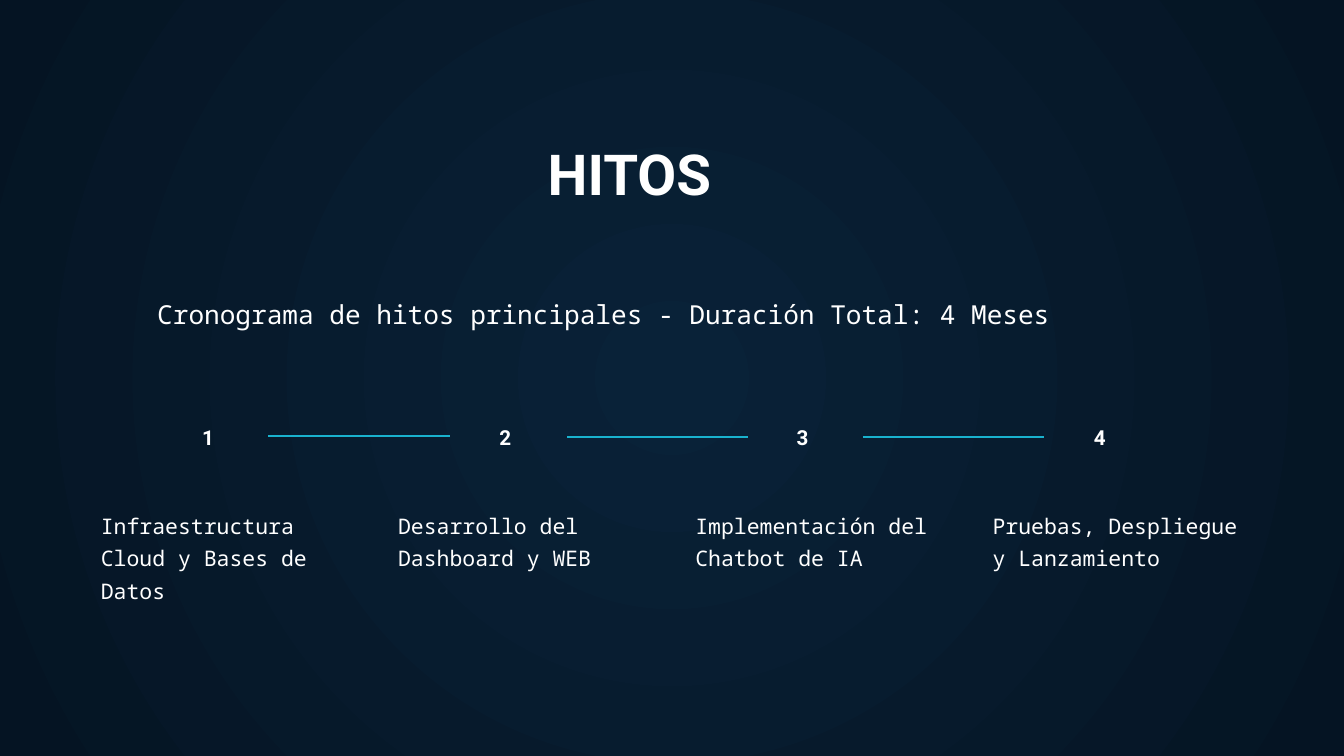
from dataclasses import dataclass

import lxml.etree
import pptx
import pptx.dml.color
import pptx.enum.shapes
import pptx.enum.text
import pptx.oxml
import pptx.oxml.ns
import pptx.slide
import pptx.util
from pptx.util import Inches

ALIGN = pptx.enum.text.PP_ALIGN


@dataclass(frozen=True)
class TextStyle:
    font: str
    size: float
    line_spacing: float
    bold: bool = False
    align: ALIGN = ALIGN.LEFT


@dataclass(frozen=True)
class Theme:
    glow: str = "092238"
    edge: str = "051423"
    text: str = "FFFFFF"
    accent: str = "19B2CE"
    link_width: float = 2.25
    title: TextStyle = TextStyle("Roboto", 60.5, 84.6, bold=True)
    subtitle: TextStyle = TextStyle("Noto Sans Mono", 28, 42)
    number: TextStyle = TextStyle("Roboto", 22.1, 31, bold=True, align=ALIGN.CENTER)
    milestone: TextStyle = TextStyle("Noto Sans Mono", 23, 34.5)


@dataclass(frozen=True)
class Box:
    left: float
    top: float
    width: float
    height: float


@dataclass(frozen=True)
class Link:
    start: float
    end: float
    y: float


THEME = Theme()
MILESTONES = (
    "Infraestructura Cloud y Bases de Datos",
    "Desarrollo del Dashboard y WEB",
    "Implementación del Chatbot de IA",
    "Pruebas, Despliegue y Lanzamiento",
)
LINKS = (Link(3.99, 6.7, 6.49), Link(8.44, 11.13, 6.5), Link(12.84, 15.53, 6.5))
FIRST_LEFT, LAST_LEFT = 1.5, 14.77
PITCH = (LAST_LEFT - FIRST_LEFT) / (len(MILESTONES) - 1)
NUMBER_INDENT = 0.86


def rgb(value: str) -> pptx.dml.color.RGBColor:
    return pptx.dml.color.RGBColor.from_string(value)


def paint_background(slide: pptx.slide.Slide) -> None:
    fill = slide.background.fill
    fill.gradient()
    for stop, color in zip(fill.gradient_stops, (THEME.glow, THEME.edge)):
        stop.color.rgb = rgb(color)
    qn = pptx.oxml.ns.qn
    gradient = slide.background._cSld.find(f".//{qn('a:gradFill')}")
    gradient.remove(gradient.find(qn("a:lin")))
    radial = lxml.etree.SubElement(gradient, qn("a:path"), {"path": "circle"})
    center = dict.fromkeys("ltrb", "50000")
    lxml.etree.SubElement(radial, qn("a:fillToRect"), center)


def add_text(slide: pptx.slide.Slide, text: str, box: Box, style: TextStyle) -> None:
    frame = slide.shapes.add_textbox(
        Inches(box.left), Inches(box.top), Inches(box.width), Inches(box.height)
    ).text_frame
    frame.word_wrap = True
    frame.auto_size = pptx.enum.text.MSO_AUTO_SIZE.SHAPE_TO_FIT_TEXT
    frame.margin_left = frame.margin_right = 0
    frame.margin_top = frame.margin_bottom = 0
    frame.text = text
    paragraph = frame.paragraphs[0]
    paragraph.alignment = style.align
    paragraph.line_spacing = pptx.util.Pt(style.line_spacing)
    font = paragraph.runs[0].font
    font.name = style.font
    font.size = pptx.util.Pt(style.size)
    font.bold = style.bold
    font.color.rgb = rgb(THEME.text)


def add_link(slide: pptx.slide.Slide, link: Link) -> None:
    connector = slide.shapes.add_connector(
        pptx.enum.shapes.MSO_CONNECTOR.STRAIGHT,
        Inches(link.start), Inches(link.y), Inches(link.end), Inches(link.y),
    )
    connector.line.color.rgb = rgb(THEME.accent)
    connector.line.width = pptx.util.Pt(THEME.link_width)
    properties = connector._element.spPr
    lxml.etree.SubElement(properties, pptx.oxml.ns.qn("a:effectLst"))


def main() -> None:
    presentation = pptx.Presentation()
    presentation.slide_width = Inches(20)
    presentation.slide_height = Inches(11.25)
    slide = presentation.slides.add_slide(presentation.slide_layouts[6])
    paint_background(slide)

    add_text(slide, "HITOS", Box(8.15, 1.9, 5.57, 1.12), THEME.title)
    add_text(
        slide,
        "Cronograma de hitos principales - Duración Total: 4 Meses",
        Box(2.34, 4.33, 17.2, 0.55),
        THEME.subtitle,
    )
    for index, milestone in enumerate(MILESTONES):
        left = FIRST_LEFT + index * PITCH
        number_box = Box(left + NUMBER_INDENT, 6.26, 1.47, 0.41)
        add_text(slide, str(index + 1), number_box, THEME.number)
        height = 1.38 if index == 0 else 0.91
        add_text(slide, milestone, Box(left, 7.54, 3.73, height), THEME.milestone)
    for link in LINKS:
        add_link(slide, link)

    presentation.save("out.pptx")


if __name__ == "__main__":
    main()
